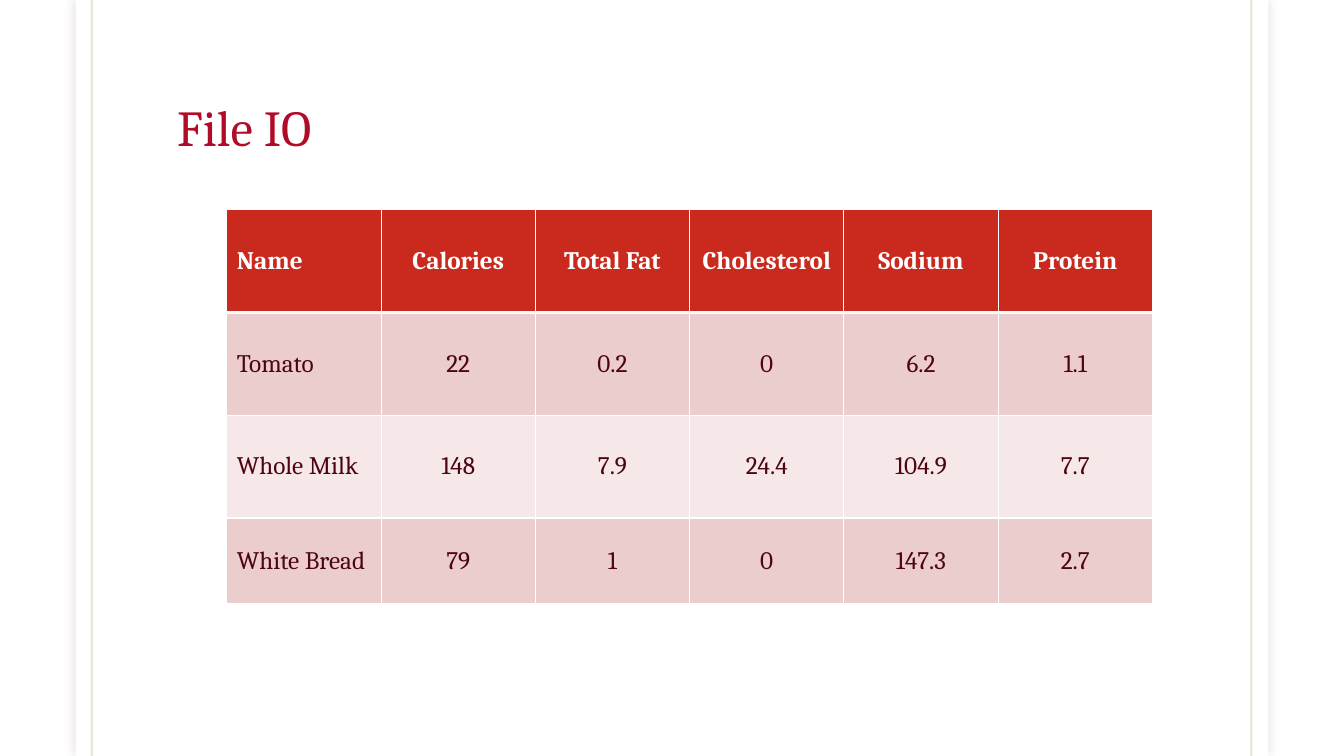
import pptx
import pptx.util
import pptx.dml.color
import pptx.enum.shapes
import pptx.enum.text
import pptx.oxml
import pptx.oxml.ns

Inches = pptx.util.Inches
Pt = pptx.util.Pt
qn = pptx.oxml.ns.qn
NS = pptx.oxml.ns.nsdecls("a")


def color(hex_code):
    return pptx.dml.color.RGBColor.from_string(hex_code)


def style(paragraph, size, hex_code, bold=False):
    for run in paragraph.runs:
        run.font.name = "Cambria"
        run.font.size = Pt(size)
        run.font.bold = bold
        run.font.color.rgb = color(hex_code)


deck = pptx.Presentation()
deck.slide_width = Inches(13.33)
deck.slide_height = Inches(7.5)
slide = deck.slides.add_slide(deck.slide_layouts[6])
slide.background.fill.solid()
slide.background.fill.fore_color.rgb = color("FFFFFF")

page = slide.shapes.add_shape(
    pptx.enum.shapes.MSO_SHAPE.RECTANGLE, Inches(0.75), 0, Inches(11.83), Inches(7.5)
)
page.fill.solid()
page.fill.fore_color.rgb = color("FFFFFF")
page.line.fill.background()
page.shadow.inherit = False
page.element.spPr.find(qn("a:effectLst")).append(pptx.oxml.parse_xml(
    f'<a:outerShdw {NS} blurRad="{Pt(7)}" dist="0" dir="0" algn="ctr" rotWithShape="0">'
    '<a:srgbClr val="65150F"><a:alpha val="15000"/></a:srgbClr></a:outerShdw>'
))

for margin_x in (0.91, 12.41):
    margin = slide.shapes.add_connector(
        pptx.enum.shapes.MSO_CONNECTOR.STRAIGHT,
        Inches(margin_x), 0, Inches(margin_x), Inches(7.5),
    )
    margin.line.width = Pt(1.5)
    margin.line.color.rgb = color("79540B")
    margin_properties = margin.element.spPr
    margin_properties.find(".//" + qn("a:srgbClr")).append(
        pptx.oxml.parse_xml(f'<a:alpha {NS} val="15000"/>')
    )
    margin_properties.append(pptx.oxml.parse_xml(f"<a:effectLst {NS}/>"))

title = slide.shapes.add_textbox(Inches(1.66), Inches(0.35), Inches(10), Inches(1.25))
title.text_frame.word_wrap = True
title.text_frame.vertical_anchor = pptx.enum.text.MSO_ANCHOR.BOTTOM
title.text_frame.text = "File IO"
title.text_frame.paragraphs[0].line_spacing = 0.85
style(title.text_frame.paragraphs[0], 36, "B10C27")

foods = [
    ["Name", "Calories", "Total Fat", "Cholesterol", "Sodium", "Protein"],
    ["Tomato", "22", "0.2", "0", "6.2", "1.1"],
    ["Whole Milk", "148", "7.9", "24.4", "104.9", "7.7"],
    ["White Bread", "79", "1", "0", "147.3", "2.7"],
]
row_heights = [1.02, 1.02, 1.02, 0.85]
row_fills = ["CA2A1E", "ECCDCD", "F6E8E8", "ECCDCD"]

nutrition = slide.shapes.add_table(
    len(foods), len(foods[0]), Inches(2.25), Inches(2.08), Inches(9.17), Inches(3.92)
).table
for column in nutrition.columns:
    column.width = Inches(1.53)

for r, food in enumerate(foods):
    nutrition.rows[r].height = Inches(row_heights[r])
    is_header = r == 0
    border_widths = {"L": 1, "R": 1, "T": 3 if r == 1 else 1, "B": 3 if is_header else 1}
    for c, value in enumerate(food):
        cell = nutrition.cell(r, c)
        cell.text_frame.text = value
        cell.vertical_anchor = pptx.enum.text.MSO_ANCHOR.MIDDLE
        paragraph = cell.text_frame.paragraphs[0]
        if c > 0:
            paragraph.alignment = pptx.enum.text.PP_ALIGN.CENTER
        style(paragraph, 18, "FFFFFF" if is_header else "4D0511", is_header)
        cell_properties = cell._tc.get_or_add_tcPr()
        for side, width in border_widths.items():
            cell_properties.append(pptx.oxml.parse_xml(
                f'<a:ln{side} {NS} w="{Pt(width)}"><a:solidFill>'
                f'<a:srgbClr val="FFFFFF"/></a:solidFill></a:ln{side}>'
            ))
        cell.fill.solid()
        cell.fill.fore_color.rgb = color(row_fills[r])

deck.save("out.pptx")
